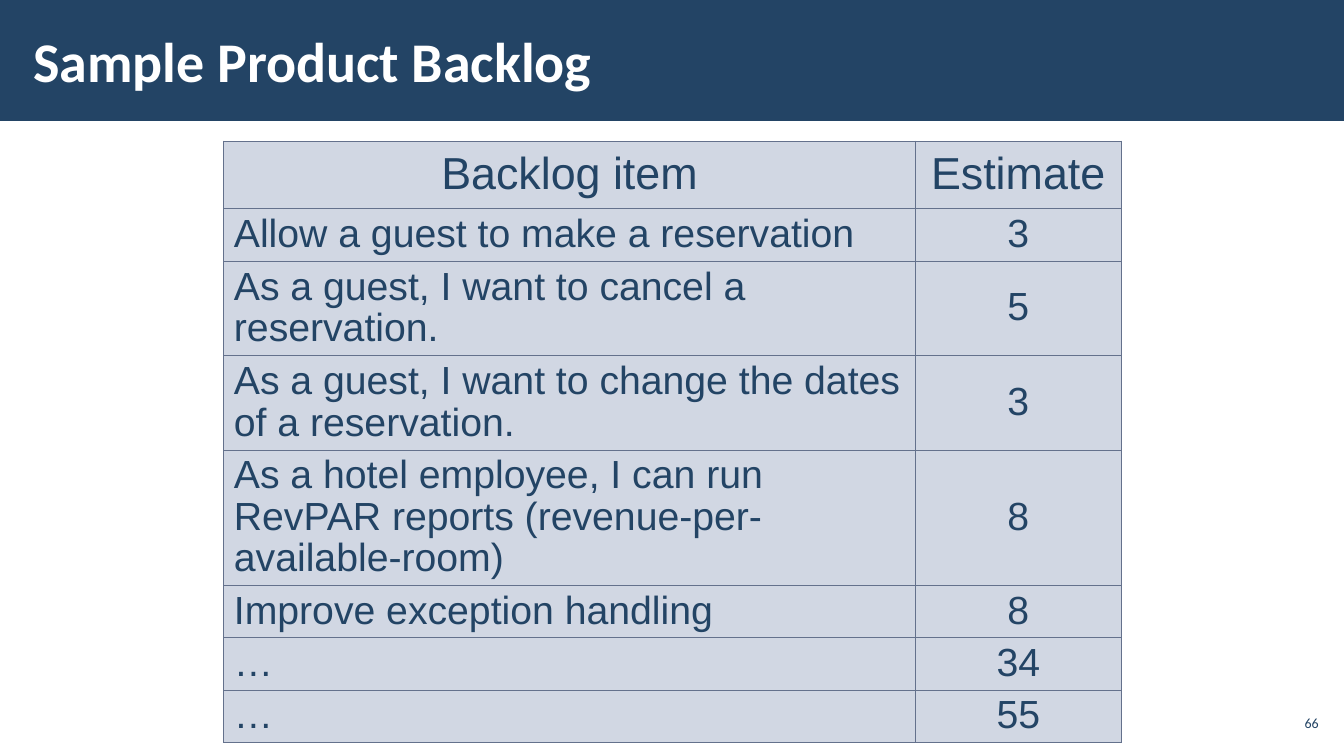
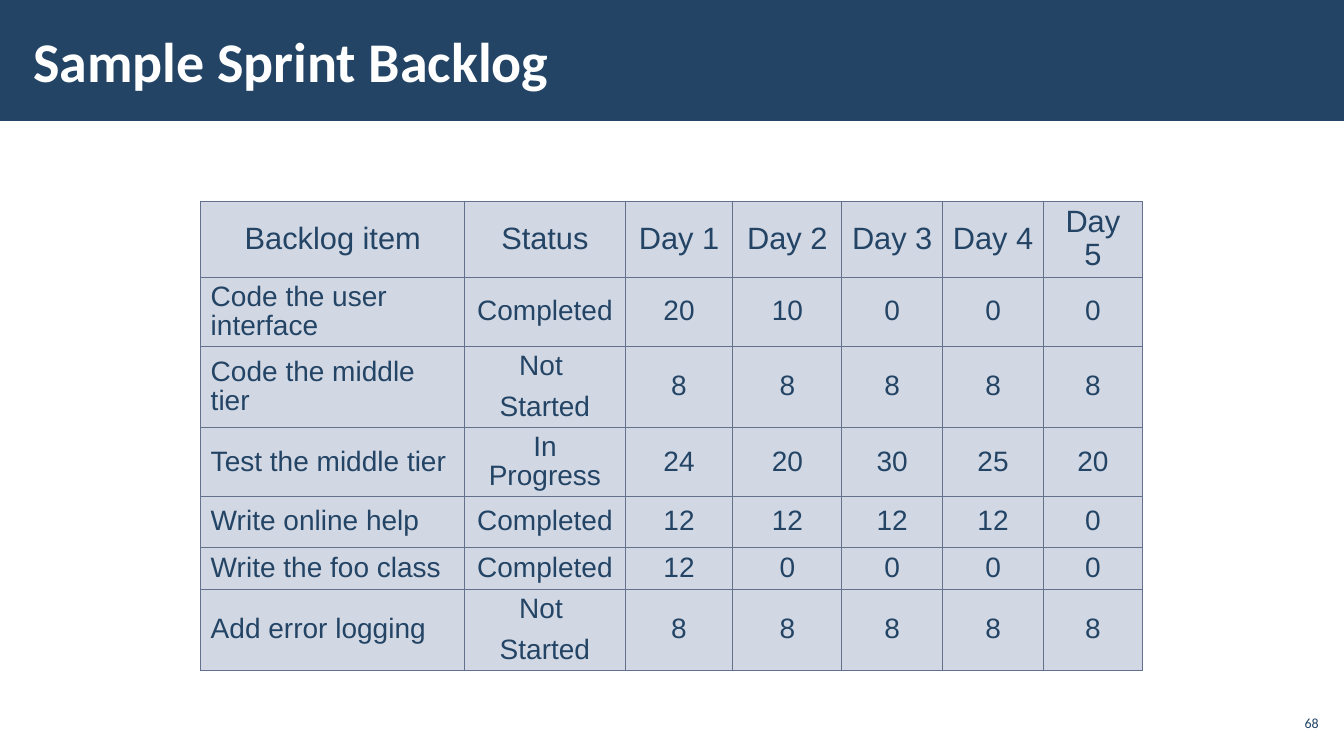
from lxml import etree
from pptx import Presentation
from pptx.dml.color import RGBColor
from pptx.enum import shapes, text
from pptx.oxml.ns import qn
from pptx.util import Inches, Pt

NAVY = RGBColor(0x23, 0x44, 0x65)
WHITE = RGBColor(0xFF, 0xFF, 0xFF)
CELL_FILL = RGBColor(0xD1, 0xD7, 0xE3)
BORDER = RGBColor(0x64, 0x71, 0x8C)
LEFT, CENTER, RIGHT = text.PP_ALIGN.LEFT, text.PP_ALIGN.CENTER, text.PP_ALIGN.RIGHT
SLIDE_WIDTH, SLIDE_HEIGHT = 13.33, 7.5

SLIDES = [
    {
        "title": "Sample Product Backlog",
        "number": 66,
        "corner": (2.22, 1.4),
        "columns": [6.86, 2.04],
        "heights": [0.67, 0.52, 0.94, 0.94, 1.34, 0.52, 0.52, 0.52],
        "header_size": 32,
        "body_size": 28,
        "rows": [
            ("Backlog item", "Estimate"),
            ("Allow a guest to make a reservation", 3),
            ("As a guest, I want to cancel a reservation.", 5),
            ("As a guest, I want to change the dates of a reservation.", 3),
            ("As a hotel employee, I can run RevPAR reports "
             "(revenue-per-available-room)", 8),
            ("Improve exception handling", 8),
            ("…", 34),
            ("…", 55),
        ],
    },
    {
        "title": "Sample Sprint Backlog",
        "number": 68,
        "corner": (1.99, 2),
        "columns": [2.62, 1.59, 1.07, 1.08, 1, 1, 0.98],
        "heights": [0.75, 0.69, 0.8, 0.69, 0.5, 0.42, 0.8],
        "header_size": 22,
        "body_size": 20,
        "rows": [
            ("Backlog item", "Status", "Day 1", "Day 2", "Day 3", "Day 4", "Day 5"),
            ("Code the user interface", "Completed", 20, 10, 0, 0, 0),
            ("Code the middle tier", "Not \nStarted", 8, 8, 8, 8, 8),
            ("Test the middle tier", "In Progress", 24, 20, 30, 25, 20),
            ("Write online help", "Completed", 12, 12, 12, 12, 0),
            ("Write the foo class", "Completed", 12, 0, 0, 0, 0),
            ("Add error logging", "Not \nStarted", 8, 8, 8, 8, 8),
        ],
    },
]


def write(frame, words, size, font="Calibri", color=NAVY, bold=False,
          align=LEFT, line_spacing=None, gap=0):
    """Fill a text frame, one paragraph per line, with gap points between them."""
    for index, line in enumerate(str(words).split("\n")):
        para = frame.add_paragraph() if index else frame.paragraphs[0]
        para.alignment = align
        para.line_spacing = line_spacing
        para.space_before = Pt(gap if index else 0)
        span = para.add_run()
        span.text = line
        span.font.name, span.font.size = font, Pt(size)
        span.font.bold, span.font.color.rgb = bold, color


def add_text(page, words, left, top, width, height, side_inset, **style):
    box = page.shapes.add_textbox(*map(Inches, (left, top, width, height)))
    frame = box.text_frame
    frame.word_wrap = True
    frame.vertical_anchor = text.MSO_ANCHOR.MIDDLE
    frame.margin_left = frame.margin_right = Inches(side_inset)
    frame.margin_top = frame.margin_bottom = Inches(0.04)
    write(frame, words, **style)


def add_frame(page, title, number):
    """Draw the title band, title and page number that every slide has."""
    band = page.shapes.add_shape(shapes.MSO_SHAPE.RECTANGLE, 0, 0,
                                 Inches(SLIDE_WIDTH), Inches(1.2))
    band.shadow.inherit = False
    band.fill.solid()
    band.fill.fore_color.rgb = NAVY
    band.line.fill.background()
    add_text(page, title, 0.21, 0.11, 10.39, 0.97, 0.12,
             size=40, color=WHITE, bold=True)
    add_text(page, number, 12.65, 7, 0.47, 0.34, 0.04, size=10, align=RIGHT)


def style_cell(cell):
    """Centre the text vertically without margins, so row heights hold; add borders and fill."""
    cell.vertical_anchor = text.MSO_ANCHOR.MIDDLE
    cell.margin_top = cell.margin_bottom = 0
    properties = cell._tc.get_or_add_tcPr()
    for side in ("lnL", "lnR", "lnT", "lnB"):
        line = etree.SubElement(properties, qn(f"a:{side}"), w=str(Pt(0.75)))
        fill = etree.SubElement(line, qn("a:solidFill"))
        etree.SubElement(fill, qn("a:srgbClr"), val=str(BORDER))
    cell.fill.solid()
    cell.fill.fore_color.rgb = CELL_FILL


def add_backlog(page, rows, corner, columns, heights, header_size, body_size):
    size = (sum(columns), sum(heights))
    table = page.shapes.add_table(len(rows), len(columns),
                                  *map(Inches, corner + size)).table
    table.first_row = table.horz_banding = False
    for column, width in zip(table.columns, columns):
        column.width = Inches(width)
    for row, height in zip(table.rows, heights):
        row.height = Inches(height)
    for r, values in enumerate(rows):
        for c, value in enumerate(values):
            cell = table.cell(r, c)
            style_cell(cell)
            write(cell.text_frame, value, body_size if r else header_size,
                  font="Arial", align=LEFT if r and c == 0 else CENTER,
                  line_spacing=0.95, gap=8)


def main():
    deck = Presentation()
    deck.slide_width, deck.slide_height = Inches(SLIDE_WIDTH), Inches(SLIDE_HEIGHT)
    for content in SLIDES:
        page = deck.slides.add_slide(deck.slide_layouts[6])
        add_frame(page, content["title"], content["number"])
        add_backlog(page, content["rows"], content["corner"], content["columns"],
                    content["heights"], content["header_size"], content["body_size"])
    deck.save("out.pptx")


if __name__ == "__main__":
    main()
